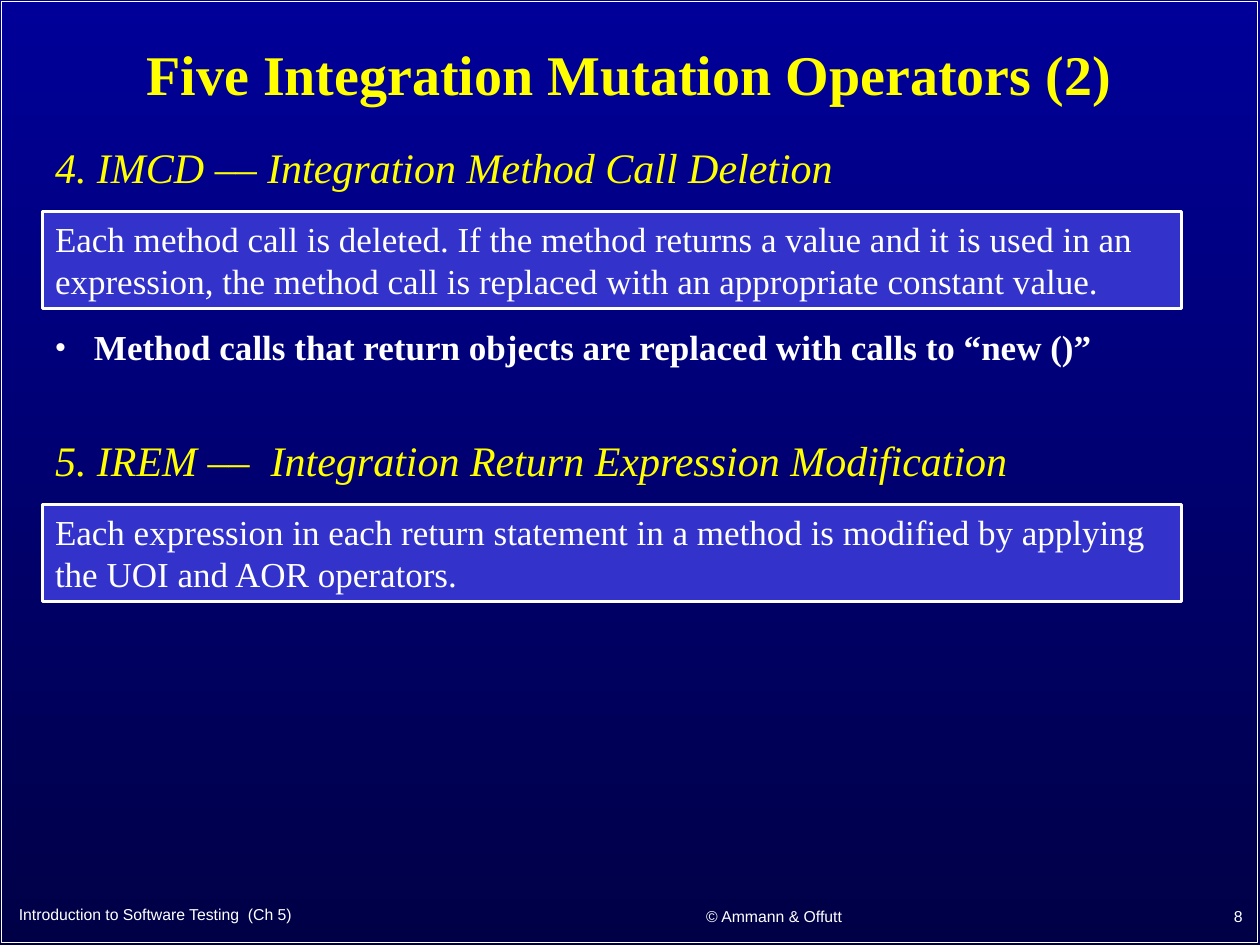
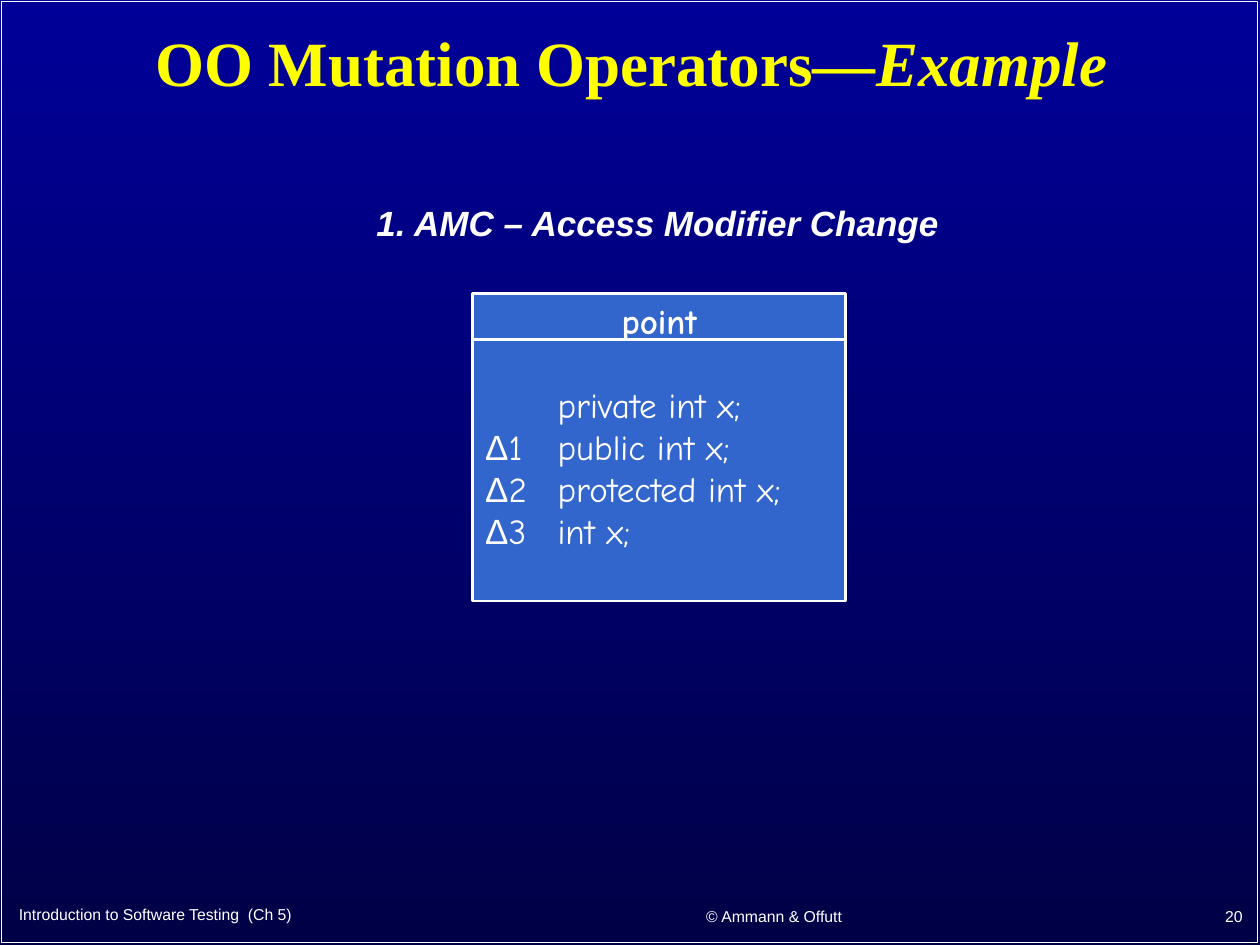
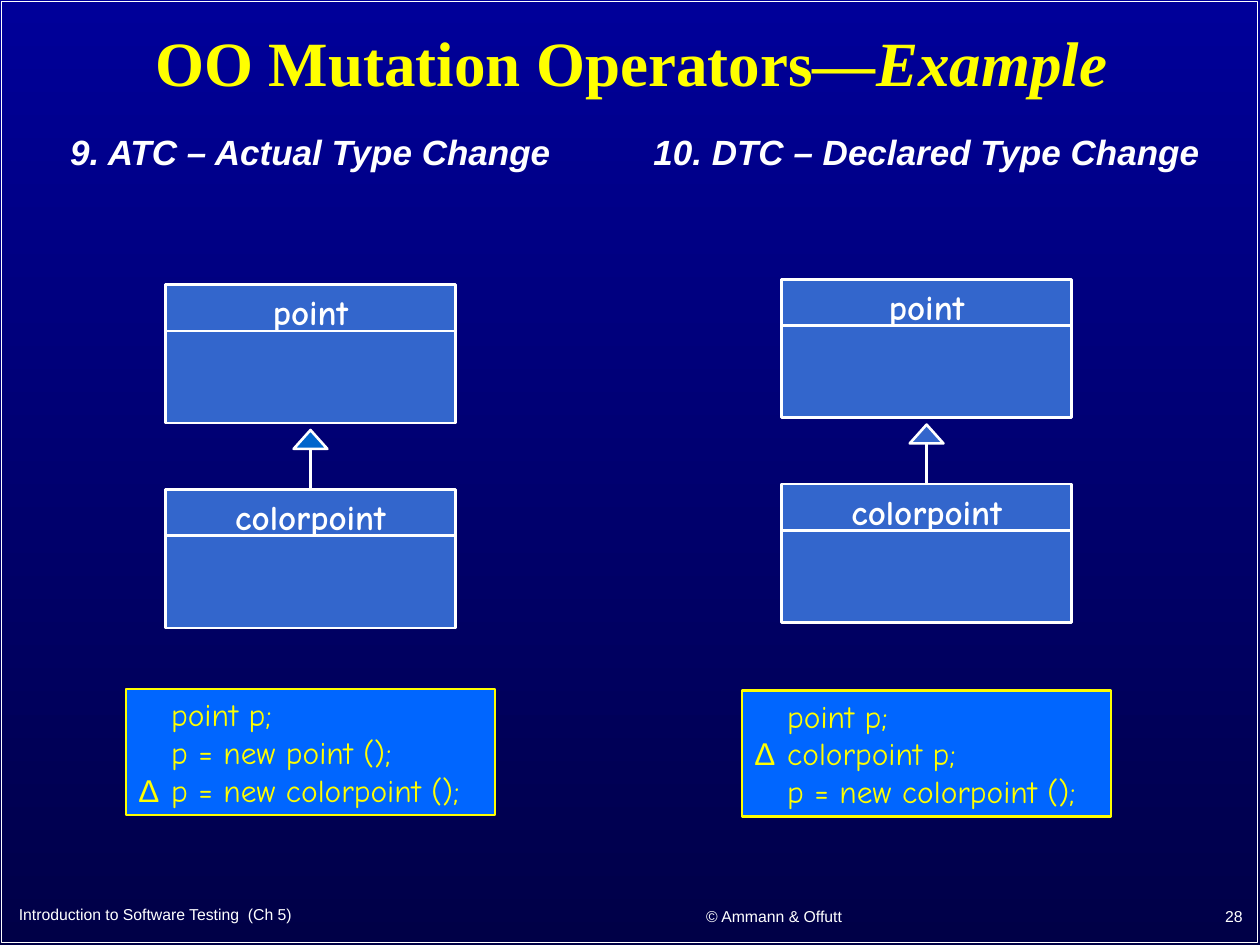
from typing import NamedTuple

from lxml.etree import SubElement
from pptx import Presentation
from pptx.dml.color import RGBColor
from pptx.enum.shapes import MSO_CONNECTOR, MSO_SHAPE as SHAPE
from pptx.enum.text import MSO_ANCHOR as ANCHOR, MSO_AUTO_SIZE, PP_ALIGN as ALIGN
from pptx.oxml.ns import qn
from pptx.util import Cm, Pt

WHITE = RGBColor(0xFF, 0xFF, 0xFF)
YELLOW = RGBColor(0xFF, 0xFF, 0x00)
SKY_TOP = RGBColor(0x00, 0x00, 0x99)
SKY_BOTTOM = RGBColor(0x00, 0x00, 0x47)
DEFINITION_BLUE = RGBColor(0x33, 0x33, 0xCC)
CLASS_BLUE = RGBColor(0x33, 0x66, 0xCC)
ARROW_BLUE = RGBColor(0x00, 0x66, 0xCC)
CODE_BLUE = RGBColor(0x00, 0x66, 0xFF)

SERIF, SANS, COMIC = "Times New Roman", "Arial", "Comic Neue"
DELTA = "Δ"
TITLE_AND_CONTENT, TITLE_ONLY = 1, 5


class Box(NamedTuple):
    """Position and size in centimetres."""
    left: float
    top: float
    width: float
    height: float

    def lengths(self):
        """Give the four values as lengths."""
        return [Cm(value) for value in self]


class Style(NamedTuple):
    """Look of a piece of text."""
    font: str
    size: float
    color: RGBColor
    bold: bool = False
    italic: bool = False


FOOTER = Style(SANS, 9, WHITE)
OPERATOR = Style(SERIF, 24, YELLOW, italic=True)
DEFINITION = Style(SERIF, 20, WHITE)
BULLET = Style(SERIF, 20, WHITE, bold=True)
HEADING = Style(SANS, 20, WHITE, bold=True, italic=True)
CLASS_NAME = Style(COMIC, 20, WHITE, bold=True)
MEMBER = Style(COMIC, 20, WHITE)
CODE = Style(COMIC, 18, YELLOW)

FOOTER_LEFT = Box(0.13, 18.06, 10.77, 0.76)
FOOTER_MIDDLE = Box(11.58, 18.08, 8.05, 0.79)
FOOTER_RIGHT = Box(20.02, 18.06, 5.28, 0.81)
TITLE_TALL = Box(1.65, 0.28, 22.07, 2.54)
TITLE_WIDE = Box(0.48, 0.28, 24.49, 2.11)
CLASS_WIDTH, CLASS_HEIGHT, NAME_HEIGHT = 5.84, 2.79, 0.93


def write(para, text, style):
    """Add styled text to a paragraph, with delta marks in the plain font."""
    for part in text.partition(DELTA):
        if part:
            span = para.add_run()
            span.text = part
            font = span.font
            font.name = SANS if part == DELTA else style.font
            font.size = Pt(style.size)
            font.color.rgb = style.color
            font.bold, font.italic = style.bold, style.italic


def set_tab(para, position):
    """Give a paragraph one left tab stop."""
    tabs = SubElement(para._p.get_or_add_pPr(), qn("a:tabLst"))
    SubElement(tabs, qn("a:tab"), pos=str(Cm(position)), algn="l")


def write_lines(paras, lines, style, tab):
    """Write tabbed code lines into paragraphs."""
    for para, line in zip(paras, lines):
        para.alignment = ALIGN.LEFT
        set_tab(para, tab)
        write(para, line, style)


def add_text(page, box, text, style, align=ALIGN.LEFT, anchor=ANCHOR.TOP):
    """Add a text box with one paragraph."""
    frame = page.shapes.add_textbox(*box.lengths()).text_frame
    frame.word_wrap = True
    frame.vertical_anchor = anchor
    frame.paragraphs[0].alignment = align
    write(frame.paragraphs[0], text, style)


def add_panel(page, box, fill=None, line=WHITE, weight=1.5, kind=SHAPE.RECTANGLE):
    """Add an outlined shape whose text starts at the top."""
    panel = page.shapes.add_shape(kind, *box.lengths())
    panel.shadow.inherit = False
    if fill is None:
        panel.fill.background()
    else:
        panel.fill.solid()
        panel.fill.fore_color.rgb = fill
    panel.line.color.rgb = line
    panel.line.width = Pt(weight)
    panel.text_frame.word_wrap = True
    panel.text_frame.vertical_anchor = ANCHOR.TOP
    return panel


def add_line(page, *ends):
    """Add a white straight line between two points."""
    line = page.shapes.add_connector(MSO_CONNECTOR.STRAIGHT, *map(Cm, ends))
    line.line.color.rgb = WHITE
    line.line.width = Pt(1.5)
    SubElement(line._element.spPr, qn("a:effectLst"))
    return line


def place(holder, box):
    """Move a placeholder to a box and return its text frame."""
    holder.left, holder.top, holder.width, holder.height = box.lengths()
    holder.text_frame.auto_size = MSO_AUTO_SIZE.NONE
    return holder.text_frame


def set_background(deck):
    """Give the slide master its vertical gradient."""
    fill = deck.slide_master.background.fill
    fill.gradient()
    fill.gradient_angle = 270
    for stop, color in zip(fill.gradient_stops, (SKY_TOP, SKY_BOTTOM)):
        stop.color.rgb = color


def start_page(deck, layout, number, title_box, title_size, title, emphasis=""):
    """Add a page with its border, title and footers."""
    page = deck.slides.add_slide(deck.slide_layouts[layout])
    add_panel(page, Box(0.03, 0.03, 25.32, 18.97), weight=1)
    title_frame = place(page.shapes.title, title_box)
    title_frame.vertical_anchor = ANCHOR.MIDDLE
    para = title_frame.paragraphs[0]
    para.alignment = ALIGN.CENTER
    para.line_spacing = 0.9
    style = Style(SERIF, title_size, YELLOW, bold=True)
    write(para, title, style)
    write(para, emphasis, style._replace(italic=True))
    for box, text, align in (
        (FOOTER_LEFT, "Introduction to Software Testing  (Ch 5)", ALIGN.LEFT),
        (FOOTER_MIDDLE, "© Ammann & Offutt", ALIGN.CENTER),
        (FOOTER_RIGHT, str(number), ALIGN.RIGHT),
    ):
        add_text(page, box, text, FOOTER, align, ANCHOR.MIDDLE)
    return page


def start_example(deck, number):
    """Add a page of the example series."""
    return start_page(deck, TITLE_ONLY, number, TITLE_WIDE, 36,
                      "OO Mutation Operators—", "Example")


def draw_operator(page, box, name, definition):
    """Draw an operator name above its definition panel."""
    add_text(page, box._replace(height=1.27), name, OPERATOR)
    panel = add_panel(page, Box(box.left, box.top + 1.54, box.width, box.height - 1.54),
                      DEFINITION_BLUE)
    para = panel.text_frame.paragraphs[0]
    para.alignment = ALIGN.LEFT
    write(para, definition, DEFINITION)


def fill_bullet(holder, box, text):
    """Put one bulleted paragraph into the body placeholder."""
    para = place(holder, box).paragraphs[0]
    properties = para._p.get_or_add_pPr()
    properties.set("marL", str(Cm(0.78)))
    properties.set("indent", str(-Cm(0.78)))
    color = SubElement(properties, qn("a:buClr"))
    SubElement(color, qn("a:srgbClr"), val=str(WHITE))
    SubElement(properties, qn("a:buSzPct"), val="85000")
    SubElement(properties, qn("a:buChar"), char="•")
    para.line_spacing = 0.9
    para.space_before = Pt(0)
    write(para, text, BULLET)


def draw_class(page, box, name, members=()):
    """Draw a class panel with its name, divider and members."""
    panel = add_panel(page, box, CLASS_BLUE)
    frame = panel.text_frame
    frame.paragraphs[0].alignment = ALIGN.CENTER
    write(frame.paragraphs[0], name, CLASS_NAME)
    member_paras = [frame.add_paragraph() for _ in members]
    write_lines(member_paras, members, MEMBER, 1.46)
    if member_paras:
        member_paras[0].space_before = Pt(24)
    divider = box.top + NAME_HEIGHT
    add_line(page, box.left, divider, box.left + box.width, divider)
    return panel


def draw_hierarchy(page, center, top, arrow_fill):
    """Draw the subclass arrow from colorpoint up to point."""
    parent = Box(center - CLASS_WIDTH / 2, top, CLASS_WIDTH, CLASS_HEIGHT)
    draw_class(page, parent, "point")
    child = draw_class(page, parent._replace(top=top + 4.13), "colorpoint")
    add_panel(page, Box(center - 0.34, top + 2.93, 0.68, 0.38), arrow_fill,
              kind=SHAPE.ISOSCELES_TRIANGLE)
    stem = add_line(page, center, top + 3.31, center, top + 4.13)
    stem.end_connect(child, 0)


def draw_code(page, box, lines):
    """Draw a code panel."""
    frame = add_panel(page, box, CODE_BLUE, YELLOW).text_frame
    paras = [frame.paragraphs[0]] + [frame.add_paragraph() for _ in lines[1:]]
    write_lines(paras, lines, CODE, 0.66)


def draw_type_change(page, box, heading, diagram_top, arrow_fill, code):
    """Draw a column with heading, class hierarchy and code."""
    center = box.left + box.width / 2
    add_text(page, box._replace(height=1.12), heading, HEADING, ALIGN.CENTER)
    draw_hierarchy(page, center, box.top + diagram_top, arrow_fill)
    draw_code(page, Box(center - 3.72, box.top + box.height - 2.54, 7.44, 2.54), code)


def build_integration(deck):
    """Build the page on integration operators."""
    page = start_page(deck, TITLE_AND_CONTENT, 8, TITLE_TALL, 32,
                      "Five Integration Mutation Operators (2)")
    draw_operator(
        page, Box(0.86, 2.72, 22.96, 3.5),
        "4. IMCD –– Integration Method Call Deletion",
        "Each method call is deleted. If the method returns a value and it is used "
        "in an expression, the method call is replaced with an appropriate constant value.")
    fill_bullet(page.placeholders[1], Box(0.86, 6.53, 22.02, 1.02),
                "Method calls that return objects are replaced with calls to “new ()”")
    draw_operator(
        page, Box(0.86, 8.63, 22.96, 3.5),
        "5. IREM ––  Integration Return Expression Modification",
        "Each expression in each return statement in a method is modified by applying "
        "the UOI and AOR operators.")


def build_access(deck):
    """Build the page on access modifiers."""
    page = start_example(deck, 20)
    add_text(page, Box(7.06, 3.94, 12.4, 1.12), "1. AMC – Access Modifier Change",
             HEADING, ALIGN.CENTER)
    draw_class(page, Box(9.53, 5.92, 7.52, 6.2), "point",
               ("\tprivate int x;", "Δ1\tpublic int x;",
                "Δ2\tprotected int x;", "Δ3\tint x;"))


def build_types(deck):
    """Build the page on type changes."""
    page = start_example(deck, 28)
    draw_type_change(page, Box(0.58, 2.51, 11.36, 13.92), "9. ATC – Actual Type Change",
                     3.23, ARROW_BLUE,
                     ("\tpoint p;", "\tp = new point ();", "Δ\tp = new colorpoint ();"))
    draw_type_change(page, Box(12.55, 2.51, 12.26, 13.95), "10. DTC – Declared Type Change",
                     3.12, CLASS_BLUE,
                     ("\tpoint p;", "Δ\tcolorpoint p;", "\tp = new colorpoint ();"))


def main():
    """Build the deck and save it."""
    deck = Presentation()
    deck.slide_width, deck.slide_height = Cm(25.4), Cm(19.05)
    set_background(deck)
    build_integration(deck)
    build_access(deck)
    build_types(deck)
    deck.save("out.pptx")


if __name__ == "__main__":
    main()
